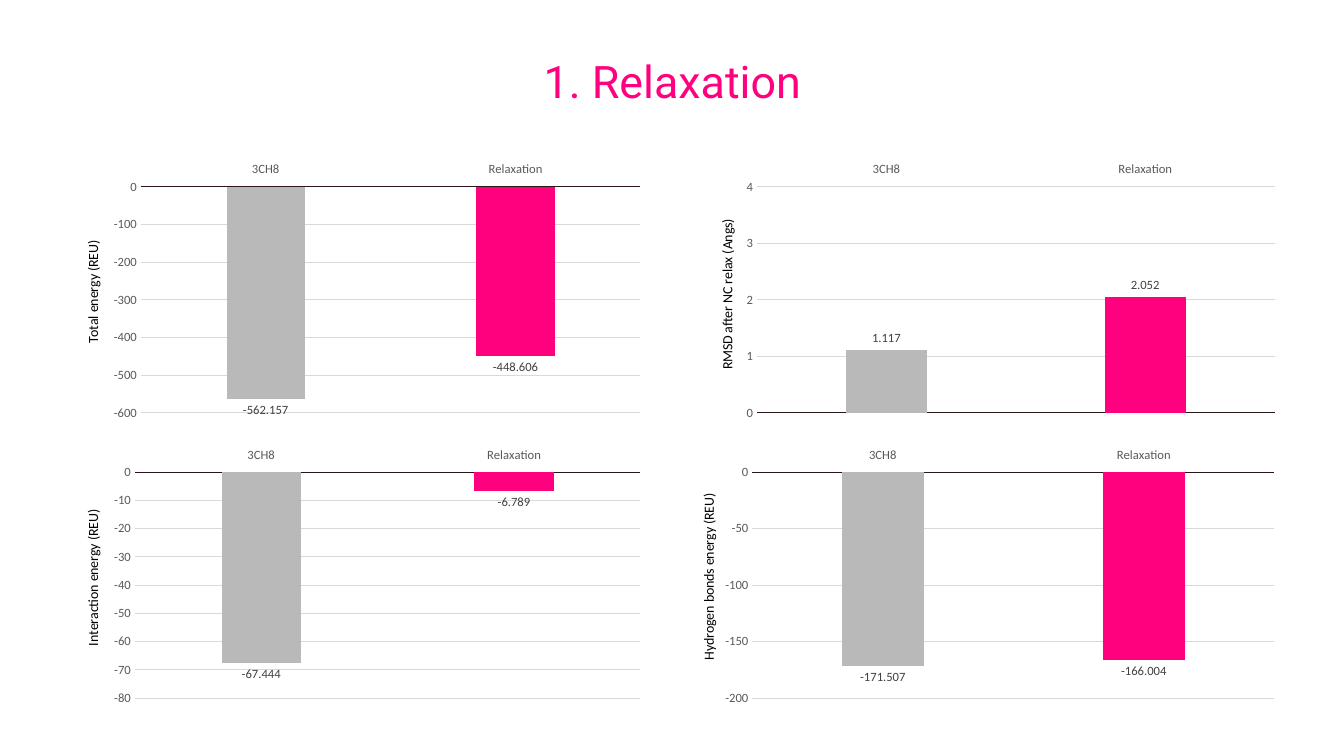
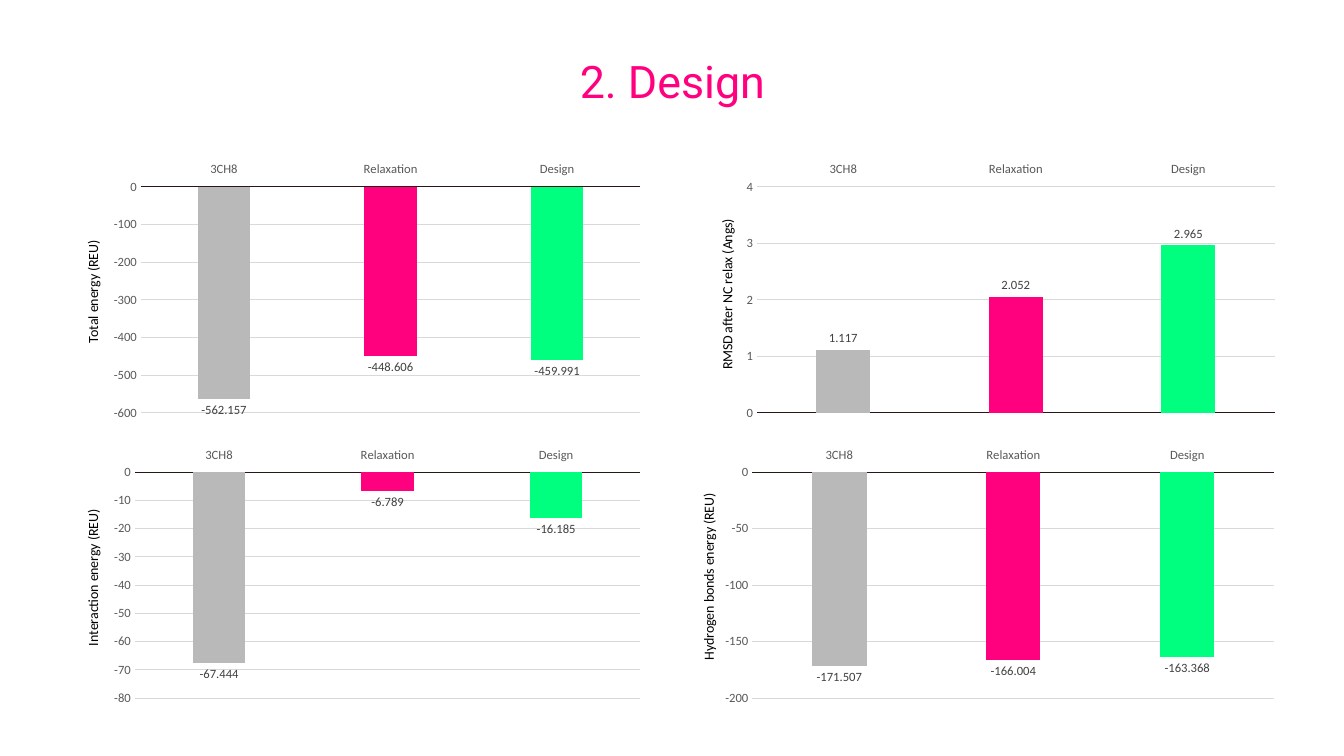
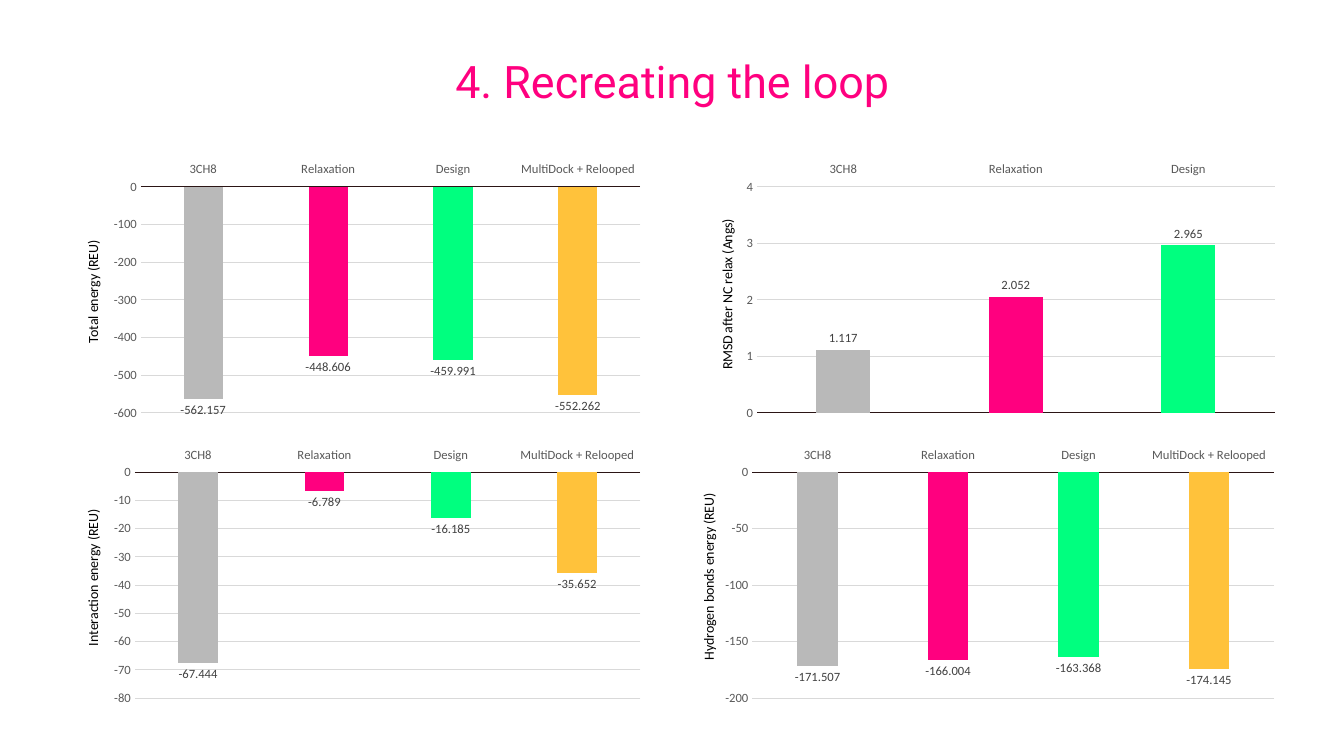
from lxml.etree import SubElement
from pptx import Presentation
from pptx.chart.data import CategoryChartData
from pptx.dml.color import RGBColor
from pptx.enum.chart import XL_CHART_TYPE, XL_LABEL_POSITION, XL_TICK_LABEL_POSITION, XL_TICK_MARK
from pptx.enum.text import MSO_ANCHOR, MSO_AUTO_SIZE, PP_ALIGN
from pptx.oxml.ns import qn
from pptx.util import Inches, Pt

# Shared look
rgb = RGBColor.from_string
PINK, BLACK, AXIS_TEXT, LABEL_TEXT = "FF007F", "000000", "595959", "404040"
AXIS_LINE, GRID = "2B1515", "D9D9D9"
BODY_FONT, TITLE_FONT = "Calibri", "Roboto"
CHART_H, TOP_ROW, BOTTOM_ROW = 2.67, 1.56, 4.39

# Stages, in order, with the colour of their bars
STAGES = {"3CH8": "B9B9B9", "Relaxation": PINK, "Design": "00FF7F",
          "MultiDock + Relooped": "FFC23B"}

# Axis title, chart (left, top, width), plot (x, width), title y, scale (min, max, step), values
METRICS = [
    ("Total energy (REU)", (0.57, TOP_ROW, 5.9), (0.14, 0.84), 0.3,
     (-600, 0, 100), [-562.157, -448.606, -459.991, -552.262]),
    ("RMSD after NC relax (Angs)", (6.86, TOP_ROW, 5.9), (0.11, 0.87), 0.22,
     (0, 4, 1), [1.117, 2.052, 2.965]),
    ("Interaction energy (REU)", (0.57, BOTTOM_ROW, 5.9), (0.13, 0.85), 0.24,
     (-80, 0, 10), [-67.444, -6.789, -16.185, -35.652]),
    ("Hydrogen bonds energy (REU)", (6.67, BOTTOM_ROW, 6.09), (0.13, 0.85), 0.18,
     (-200, 0, 50), [-171.507, -166.004, -163.368, -174.145]),
]

# Slide title and number of stages shown
SLIDES = [("1. Relaxation", 2), ("2. Design", 3), ("4. Recreating the loop", 4)]


def put_text(tf, text, size, font=BODY_FONT, color=BLACK, align=PP_ALIGN.CENTER):
    p = tf.paragraphs[0]
    p.alignment = align
    r = p.add_run()
    r.text = text
    r.font.size, r.font.name, r.font.bold = Pt(size), font, False
    r.font.color.rgb = rgb(color)


def place(element, index, **settings):
    """Give a chart part a manual layout, in fractions of the chart."""
    layout = element.find(qn("c:layout"))
    if layout is None:
        layout = SubElement(element, qn("c:layout"))
        element.insert(index, layout)
    manual = SubElement(layout, qn("c:manualLayout"))
    for name, value in settings.items():
        SubElement(manual, qn(f"c:{name}")).set("val", str(value))


prs = Presentation()
prs.slide_width, prs.slide_height = Inches(13.33), Inches(7.5)

for title, count in SLIDES:
    s = prs.slides.add_slide(prs.slide_layouts[5])

    # Title
    sp = s.shapes.title
    sp.left, sp.top, sp.width, sp.height = Inches(2.4), Inches(0.48), Inches(8.54), Inches(0.64)
    tf = sp.text_frame
    tf.word_wrap, tf.vertical_anchor = True, MSO_ANCHOR.MIDDLE
    tf.auto_size = MSO_AUTO_SIZE.SHAPE_TO_FIT_TEXT
    put_text(tf, title, 32, font=TITLE_FONT, color=PINK)

    for name, (left, top, width), (plot_x, plot_w), title_y, scale, values in METRICS:
        # Chart
        shown = values[:count]
        data = CategoryChartData()
        data.categories = list(STAGES)[:len(shown)]
        data.add_series("Series 1", shown)
        chart = s.shapes.add_chart(XL_CHART_TYPE.COLUMN_CLUSTERED, Inches(left), Inches(top),
                                   Inches(width), Inches(CHART_H), data).chart
        chart.has_legend = chart.has_title = False
        chart.font.name, chart.font.size = BODY_FONT, Pt(10)
        chart.font.color.rgb = rgb(BLACK)
        place(chart.plots[0]._element.getparent(), 0, layoutTarget="inner", xMode="edge",
              yMode="edge", x=plot_x, y=0.11, w=plot_w, h=0.84)

        # Bars and their labels
        plot = chart.plots[0]
        plot.gap_width, plot.overlap, plot.vary_by_categories = 219, -27, False
        series = plot.series[0]
        series.invert_if_negative = False
        series.format.fill.solid()
        series.format.fill.fore_color.rgb = rgb(PINK)
        for i, color in enumerate(list(STAGES.values())[:len(shown)]):
            if color != PINK:
                fill = series.points[i].format.fill
                fill.solid()
                fill.fore_color.rgb = rgb(color)
        labels = series.data_labels
        labels.show_value, labels.position = True, XL_LABEL_POSITION.OUTSIDE_END
        labels.font.size, labels.font.name = Pt(9), BODY_FONT
        labels.font.color.rgb = rgb(LABEL_TEXT)

        # Axes
        cat_axis, val_axis = chart.category_axis, chart.value_axis
        for axis in (cat_axis, val_axis):
            axis.major_tick_mark = axis.minor_tick_mark = XL_TICK_MARK.NONE
            font = axis.tick_labels.font
            font.size, font.name = Pt(9), BODY_FONT
            font.color.rgb = rgb(AXIS_TEXT)
        cat_axis.tick_label_position = XL_TICK_LABEL_POSITION.HIGH
        cat_axis.format.line.color.rgb = rgb(AXIS_LINE)
        cat_axis.format.line.width = Pt(0.75)
        val_axis.format.line.fill.background()
        val_axis.minimum_scale, val_axis.maximum_scale, val_axis.major_unit = scale
        grid = val_axis.major_gridlines.format.line
        grid.color.rgb, grid.width = rgb(GRID), Pt(0.75)

        # Value axis title, reading upwards
        tf = val_axis.axis_title.text_frame
        put_text(tf, name, 10)
        body = tf._txBody.find(qn("a:bodyPr"))
        body.set("rot", "-5400000")
        body.set("vert", "horz")
        place(val_axis.axis_title._element, 1, xMode="edge", yMode="edge", x=0.04, y=title_y)

prs.save("out.pptx")
